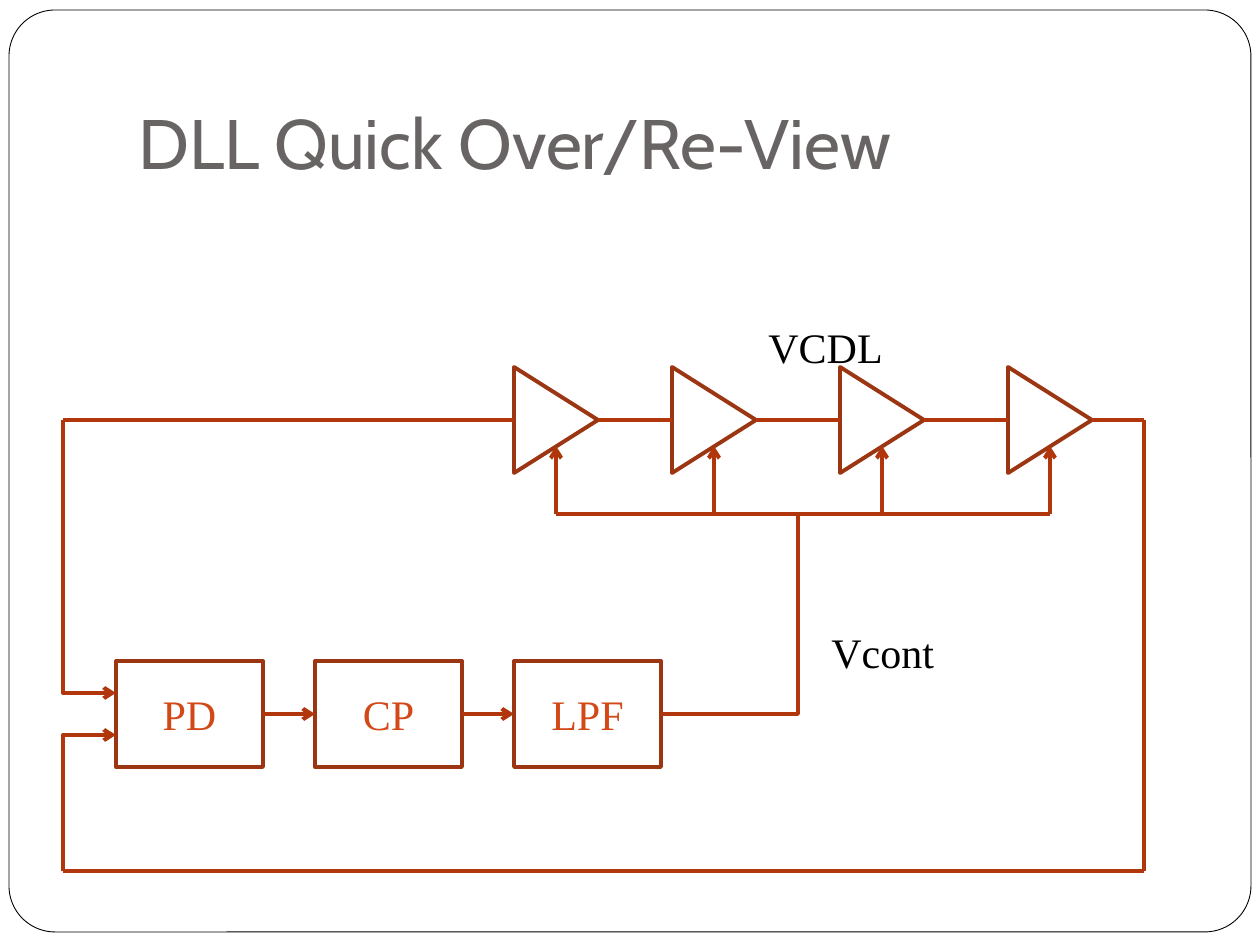
from dataclasses import dataclass
from itertools import pairwise

from lxml.etree import SubElement
from pptx import Presentation
from pptx.dml.color import RGBColor
from pptx.enum.shapes import MSO_CONNECTOR, MSO_SHAPE
from pptx.enum.text import MSO_ANCHOR, PP_ALIGN
from pptx.oxml.ns import qn
from pptx.util import Emu, Pt


@dataclass(frozen=True)
class Theme:
    paper: RGBColor = RGBColor(0xFF, 0xFF, 0xFF)
    ink: RGBColor = RGBColor(0, 0, 0)
    title: RGBColor = RGBColor(0x69, 0x64, 0x64)
    outline: RGBColor = RGBColor(0x9C, 0x35, 0x11)
    wire: RGBColor = RGBColor(0xB1, 0x36, 0x0B)
    block_text: RGBColor = RGBColor(0xD3, 0x48, 0x17)
    title_font: str = "Cabin"
    body_font: str = "Times New Roman"
    title_size: int = 40
    body_size: int = 24
    frame_width: float = 0.5
    stroke_width: float = 2.25


THEME = Theme()
PX_PER_INCH = 126

# Delay line
BUFFER_LEFTS = (514, 672, 840, 1008)
BUFFER_WIDTH, BUFFER_HEIGHT = 84, 106
DELAY_Y = 420
CONTROL_TIP_Y, CONTROL_BUS_Y = 446, 514

# Loop blocks
BLOCK_LEFT, BLOCK_TOP, BLOCK_STEP = 116, 661, 199
BLOCK_WIDTH, BLOCK_HEIGHT = 147, 106
BLOCK_Y = BLOCK_TOP + BLOCK_HEIGHT // 2

# Outer wiring
LOOP_LEFT, LOOP_RIGHT, LOOP_BOTTOM = 63, 1144, 871
REFERENCE_Y, FEEDBACK_Y = 693, 735
CONTROL_X = 798


def px(length):
    return Emu(round(length * 914400 / PX_PER_INCH))


def write(shape, text, color, font=THEME.body_font, size=THEME.body_size,
          align=PP_ALIGN.LEFT, anchor=MSO_ANCHOR.TOP):
    frame = shape.text_frame
    frame.word_wrap = True
    frame.vertical_anchor = anchor
    para = frame.paragraphs[0]
    para.text = text
    para.alignment = align
    para.font.name = font
    para.font.size = Pt(size)
    para.font.color.rgb = color


def add_outline(page, kind, left, top, width, height,
                color=THEME.outline, line_width=THEME.stroke_width):
    shape = page.shapes.add_shape(kind, px(left), px(top), px(width), px(height))
    shape.shadow.inherit = False
    shape.fill.solid()
    shape.fill.fore_color.rgb = THEME.paper
    shape.line.color.rgb = color
    shape.line.width = Pt(line_width)
    return shape


def add_text(page, left, top, width, height, text, color, **style):
    box = page.shapes.add_textbox(px(left), px(top), px(width), px(height))
    write(box, text, color, **style)
    return box


def add_wire(page, start, end, arrow=None, kind=MSO_CONNECTOR.STRAIGHT):
    """Draw a wire; arrow is "headEnd" (at start) or "tailEnd" (at end)."""
    wire = page.shapes.add_connector(kind, *map(px, start + end))
    wire.line.color.rgb = THEME.wire
    wire.line.width = Pt(THEME.stroke_width)
    if arrow:
        SubElement(wire.line._get_or_add_ln(), qn("a:" + arrow), type="arrow")
    SubElement(wire._element.spPr, qn("a:effectLst"))
    return wire


def add_corner(page, start, end, arrow=None):
    """Draw a wire that runs sideways first, then vertically."""
    wire = add_wire(page, start, end, arrow, MSO_CONNECTOR.ELBOW)
    wire._element.spPr.find(qn("a:prstGeom")).set("prst", "bentConnector2")
    return wire


def add_buffer(page, left):
    # The box is given before its quarter turn
    center = left + BUFFER_WIDTH / 2
    buffer = add_outline(page, MSO_SHAPE.ISOSCELES_TRIANGLE,
                         center - BUFFER_HEIGHT / 2, DELAY_Y - BUFFER_WIDTH / 2,
                         BUFFER_HEIGHT, BUFFER_WIDTH)
    buffer.rotation = 90


def add_block(page, index, name):
    block = add_outline(page, MSO_SHAPE.RECTANGLE, BLOCK_LEFT + index * BLOCK_STEP,
                        BLOCK_TOP, BLOCK_WIDTH, BLOCK_HEIGHT)
    write(block, name, THEME.block_text, align=PP_ALIGN.CENTER,
          anchor=MSO_ANCHOR.MIDDLE)
    return block


def add_delay_line(page):
    for left in BUFFER_LEFTS:
        add_buffer(page, left)
    # Signal path through the buffers
    stops = (*BUFFER_LEFTS, LOOP_RIGHT)
    for left, following in pairwise(stops):
        add_wire(page, (left + BUFFER_WIDTH, DELAY_Y), (following, DELAY_Y))
    # Control bus and its taps
    taps = [left + BUFFER_WIDTH // 2 for left in BUFFER_LEFTS]
    for x in taps:
        add_wire(page, (x, CONTROL_BUS_Y), (x, CONTROL_TIP_Y), "tailEnd")
    add_wire(page, (taps[0], CONTROL_BUS_Y), (taps[-1], CONTROL_BUS_Y))


def add_loop_blocks(page):
    blocks = [add_block(page, i, name) for i, name in enumerate(("PD", "CP", "LPF"))]
    for i, (source, target) in enumerate(pairwise(blocks)):
        left = BLOCK_LEFT + i * BLOCK_STEP
        wire = add_wire(page, (left + BLOCK_WIDTH, BLOCK_Y),
                        (left + BLOCK_STEP, BLOCK_Y), "tailEnd")
        wire.begin_connect(source, 3)
        wire.end_connect(target, 1)
    filter_right = BLOCK_LEFT + 2 * BLOCK_STEP + BLOCK_WIDTH
    control = add_corner(page, (filter_right, BLOCK_Y), (CONTROL_X, CONTROL_BUS_Y))
    control.begin_connect(blocks[-1], 3)


def add_outer_wiring(page):
    # Reference input
    add_wire(page, (LOOP_LEFT, DELAY_Y), (BUFFER_LEFTS[0], DELAY_Y))
    add_corner(page, (BLOCK_LEFT, REFERENCE_Y), (LOOP_LEFT, DELAY_Y), "headEnd")
    # Feedback from the end of the delay line
    add_wire(page, (LOOP_RIGHT, DELAY_Y), (LOOP_RIGHT, LOOP_BOTTOM))
    add_wire(page, (LOOP_LEFT, LOOP_BOTTOM), (LOOP_RIGHT, LOOP_BOTTOM))
    add_corner(page, (BLOCK_LEFT, FEEDBACK_Y), (LOOP_LEFT, LOOP_BOTTOM), "headEnd")


def main():
    deck = Presentation()
    deck.slide_width, deck.slide_height = px(1260), px(945)
    page = deck.slides.add_slide(deck.slide_layouts[6])

    # Frame and title
    frame = add_outline(page, MSO_SHAPE.ROUNDED_RECTANGLE, 9, 10, 1242, 922,
                        THEME.ink, THEME.frame_width)
    frame.adjustments[0] = 0.05
    title = add_text(page, 126, 38, 1071, 158, "DLL Quick Over/Re-View", THEME.title,
                     font=THEME.title_font, size=THEME.title_size,
                     anchor=MSO_ANCHOR.BOTTOM)
    title.text_frame.margin_bottom = px(13)

    # Diagram
    add_delay_line(page)
    add_loop_blocks(page)
    add_outer_wiring(page)

    # Labels
    add_text(page, 756, 315, 168, 63, "VCDL", THEME.ink)
    add_text(page, 819, 620, 168, 63, "Vcont", THEME.ink)

    deck.save("out.pptx")


if __name__ == "__main__":
    main()
